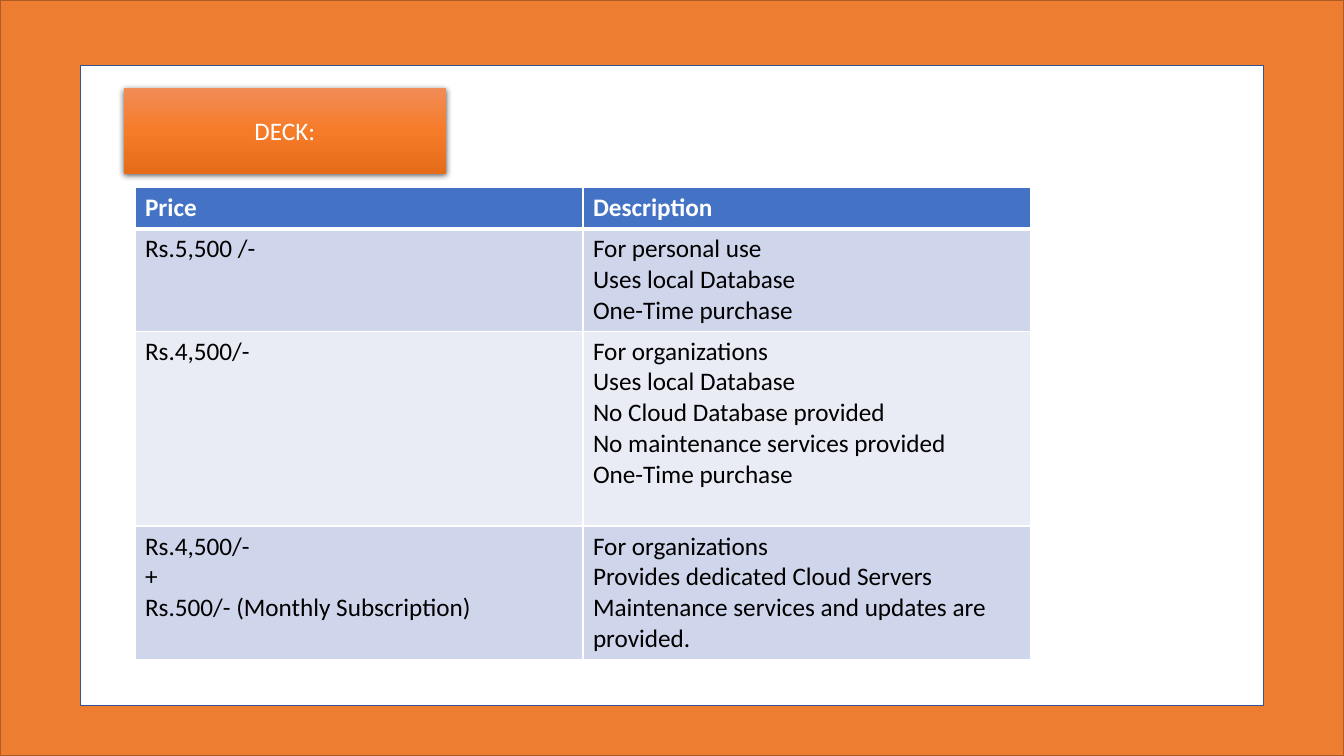
import pptx
import pptx.dml.color
import pptx.enum.shapes
import pptx.enum.text
import pptx.oxml
import pptx.oxml.ns
import pptx.util

Pt = pptx.util.Pt
RGBColor = pptx.dml.color.RGBColor
RECTANGLE = pptx.enum.shapes.MSO_SHAPE.RECTANGLE
NAMESPACE = pptx.oxml.ns.nsdecls("a")

theme = {
    "font": "Calibri",
    "size": 18,
    "frame": "ED7D31",
    "frame_line": "AF5C24",
    "white": "FFFFFF",
    "panel_line": "325491",
    "header": "4472C4",
    "bands": ["CFD5EA", "E9EBF5"],
    "text": "000000",
    "shadow": "000000",
    "title_stops": [(0, "F18C57"), (50, "F67B28"), (100, "E56C19")],
}


def add_rectangle(left, top, width, height):
    shape = slide.shapes.add_shape(RECTANGLE, Pt(left), Pt(top), Pt(width), Pt(height))
    shape.shadow.inherit = False
    return shape


def write_lines(text_frame, lines, color, bold=False, alignment=None):
    for index, line in enumerate(lines):
        paragraph = text_frame.add_paragraph() if index else text_frame.paragraphs[0]
        paragraph.alignment = alignment
        run = paragraph.add_run()
        run.text = line
        run.font.name = theme["font"]
        run.font.size = Pt(theme["size"])
        run.font.bold = bold
        run.font.color.rgb = RGBColor.from_string(color)


presentation = pptx.Presentation()
presentation.slide_width = Pt(960)
presentation.slide_height = Pt(540)
slide = presentation.slides.add_slide(presentation.slide_layouts[6])

for box, fill, line in [
    ((0, 0, 960, 540), theme["frame"], theme["frame_line"]),
    ((57.5, 47, 845, 457), theme["white"], theme["panel_line"]),
]:
    shape = add_rectangle(*box)
    shape.fill.solid()
    shape.fill.fore_color.rgb = RGBColor.from_string(fill)
    shape.line.color.rgb = RGBColor.from_string(line)
    shape.line.width = Pt(1)

rows = [
    (29.2, ["Price"], ["Description"]),
    (72.8, ["Rs.5,500 /-"], ["For personal use", "Uses local Database", "One-Time purchase"]),
    (139.2, ["Rs.4,500/-"], [
        "For organizations",
        "Uses local Database",
        "No Cloud Database provided",
        "No maintenance services provided",
        "One-Time purchase",
    ]),
    (94.8, ["Rs.4,500/-", "+", "Rs.500/- (Monthly Subscription)"], [
        "For organizations",
        "Provides dedicated Cloud Servers",
        "Maintenance services and updates are provided.",
    ]),
]
table_height = sum(row[0] for row in rows)
table = slide.shapes.add_table(
    len(rows), 2, Pt(96.4), Pt(134.2), Pt(640), Pt(table_height)
).table
for column in table.columns:
    column.width = Pt(320)

for row_index, (height, *row_texts) in enumerate(rows):
    table.rows[row_index].height = Pt(height)
    is_header = row_index == 0
    fill = theme["header"] if is_header else theme["bands"][(row_index - 1) % 2]
    color = theme["white"] if is_header else theme["text"]
    border_widths = {
        "L": 1,
        "R": 1,
        "T": 3 if row_index == 1 else 1,
        "B": 3 if is_header else 1,
    }
    for column_index, lines in enumerate(row_texts):
        cell = table.cell(row_index, column_index)
        write_lines(cell.text_frame, lines, color, bold=is_header)
        cell.fill.solid()
        cell.fill.fore_color.rgb = RGBColor.from_string(fill)
        properties = cell._tc.get_or_add_tcPr()
        for position, (side, width) in enumerate(border_widths.items()):
            border = pptx.oxml.parse_xml(
                f'<a:ln{side} {NAMESPACE} w="{Pt(width)}"><a:solidFill>'
                f'<a:srgbClr val="{theme["white"]}"/></a:solidFill></a:ln{side}>'
            )
            properties.insert(position, border)

title = add_rectangle(88.5, 63, 230, 61)
title.line.fill.background()
title.fill.gradient()
title.fill.gradient_angle = 270
stop_list = title.element.spPr.find(".//" + pptx.oxml.ns.qn("a:gsLst"))
stop_list.clear()
for position, color in theme["title_stops"]:
    stop_list.append(pptx.oxml.parse_xml(
        f'<a:gs {NAMESPACE} pos="{position * 1000}"><a:srgbClr val="{color}"/></a:gs>'
    ))
effects = title.element.spPr.find(pptx.oxml.ns.qn("a:effectLst"))
effects.append(pptx.oxml.parse_xml(
    f'<a:outerShdw {NAMESPACE} blurRad="{Pt(4.5)}" dist="{Pt(1.5)}" dir="5400000" '
    f'algn="ctr" rotWithShape="0"><a:srgbClr val="{theme["shadow"]}">'
    f'<a:alpha val="63000"/></a:srgbClr></a:outerShdw>'
))
title.text_frame.word_wrap = True
title.text_frame.vertical_anchor = pptx.enum.text.MSO_ANCHOR.MIDDLE
write_lines(
    title.text_frame, ["DECK:"], theme["white"], alignment=pptx.enum.text.PP_ALIGN.CENTER
)

presentation.save("out.pptx")
